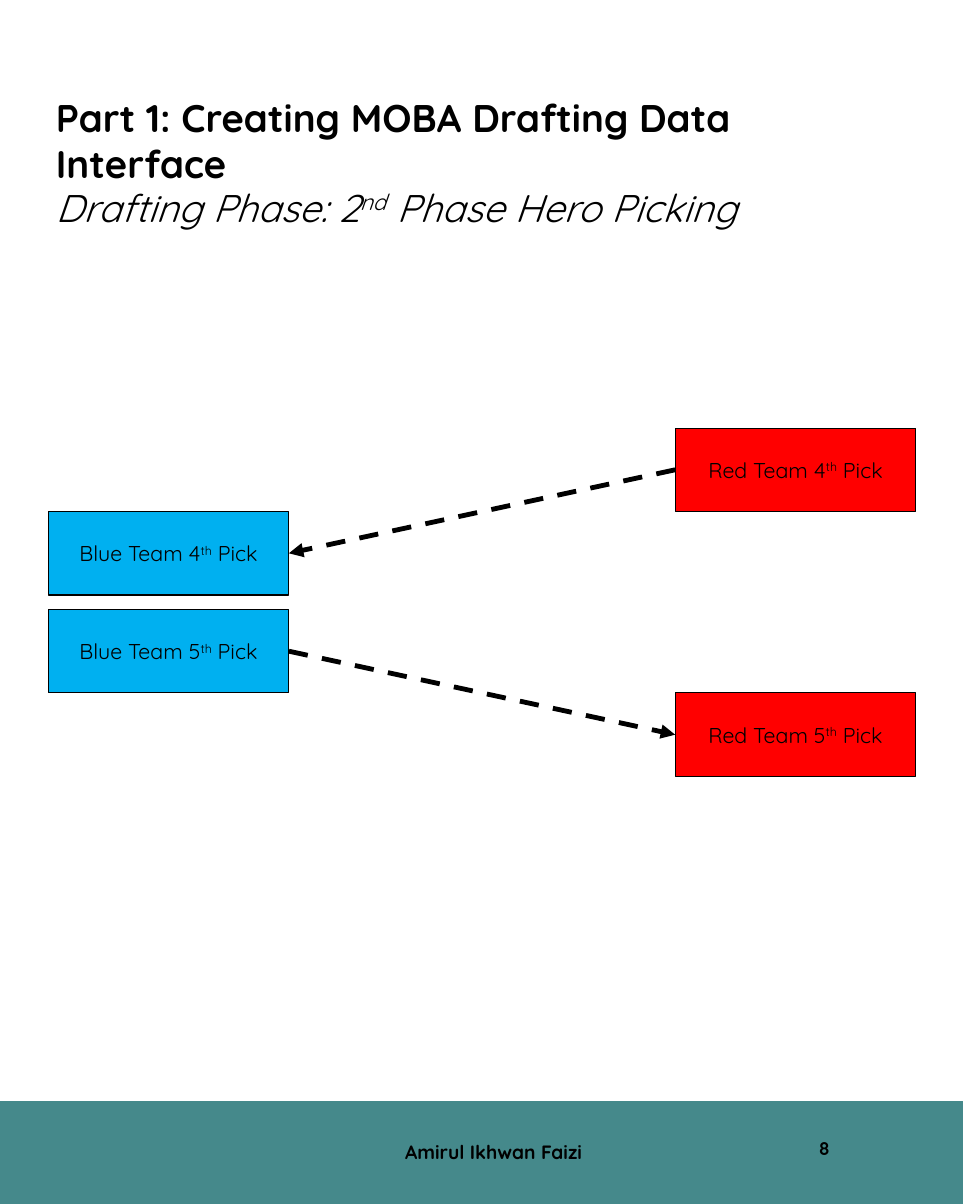
from dataclasses import dataclass

from lxml import etree
from pptx import Presentation
from pptx.dml.color import RGBColor
from pptx.enum import dml, shapes, text
from pptx.oxml import ns
from pptx.util import Pt


@dataclass(frozen=True)
class Theme:
    """Colours, font and type sizes of the deck."""
    ink: str = "000000"
    band: str = "45898B"
    blue: str = "00B0F0"
    red: str = "FF0000"
    font: str = "Quicksand"
    heading: float = 36
    pick: float = 20
    author: float = 18
    number: float = 17.3


THEME = Theme()
WIDTH, HEIGHT = 900, 1125


def write(frame, content, size, bold=False, italic=False,
          align=text.PP_ALIGN.LEFT, anchor=text.MSO_ANCHOR.TOP, insets=(7.2, 3.6)):
    """Fill a text frame; parts between carets are superscript."""
    frame.word_wrap = True
    frame.auto_size = text.MSO_AUTO_SIZE.NONE
    frame.vertical_anchor = anchor
    frame.margin_left = frame.margin_right = Pt(insets[0])
    frame.margin_top = frame.margin_bottom = Pt(insets[1])
    line = frame.paragraphs[0]
    line.alignment = align
    for index, part in enumerate(content.split("^")):
        run = line.add_run()
        run.text = part
        run.font.name = THEME.font
        run.font.size = Pt(size)
        run.font.bold, run.font.italic = bold, italic
        run.font.color.rgb = RGBColor.from_string(THEME.ink)
        if index % 2:
            run._r.get_or_add_rPr().set("baseline", "30000")


def add_label(slide, box, content, size, **style):
    """Add a text box with one line of text."""
    label = slide.shapes.add_textbox(*map(Pt, box))
    write(label.text_frame, content, size, **style)


def add_panel(slide, box, fill, border):
    """Add a flat rectangle with a thin border."""
    panel = slide.shapes.add_shape(shapes.MSO_SHAPE.RECTANGLE, *map(Pt, box))
    panel.shadow.inherit = False
    panel.fill.solid()
    panel.fill.fore_color.rgb = RGBColor.from_string(fill)
    panel.line.color.rgb = RGBColor.from_string(border)
    panel.line.width = Pt(1)
    return panel


def add_pick_arrow(slide, first, first_site, second, second_site):
    """Join two picks with a dashed arrow."""
    arrow = slide.shapes.add_connector(shapes.MSO_CONNECTOR.STRAIGHT, 0, 0, 0, 0)
    arrow.begin_connect(first, first_site)
    arrow.end_connect(second, second_site)
    arrow.line.color.rgb = RGBColor.from_string(THEME.ink)
    arrow.line.width = Pt(4.5)
    arrow.line.dash_style = dml.MSO_LINE.DASH
    etree.SubElement(arrow.line._get_or_add_ln(), ns.qn("a:tailEnd"), type="triangle")
    etree.SubElement(arrow._element.spPr, ns.qn("a:effectLst"))


def add_heading(slide, box, title, subtitle):
    """Place the title and the italic subtitle below it."""
    left, top, width, height = box
    heading = slide.shapes.title
    heading.left, heading.top, heading.width, heading.height = map(
        Pt, (left, top, width, 51))
    write(heading.text_frame, title, THEME.heading, bold=True)
    add_label(slide, (left, top + height - 51, width, 51), subtitle,
              THEME.heading, italic=True)


def add_draft(slide, box):
    """Place blue picks on the left, red picks on the right, and their arrows."""
    left, top, width, height = box
    pick_width, pick_height = 225, 78
    red_left = left + width - pick_width
    last_top = top + height - pick_height
    places = {
        "Blue Team 4^th^ Pick": (left, top + pick_height, THEME.blue),
        "Red Team 4^th^ Pick": (red_left, top, THEME.red),
        "Blue Team 5^th^ Pick": (left, last_top - pick_height, THEME.blue),
        "Red Team 5^th^ Pick": (red_left, last_top, THEME.red),
    }
    picks = []
    for name, (pick_left, pick_top, colour) in places.items():
        pick = add_panel(slide, (pick_left, pick_top, pick_width, pick_height),
                         colour, THEME.ink)
        write(pick.text_frame, name, THEME.pick, align=text.PP_ALIGN.CENTER,
              anchor=text.MSO_ANCHOR.MIDDLE)
        picks.append(pick)
    blue_fourth, red_fourth, blue_fifth, red_fifth = picks
    left_site, right_site = 1, 3
    add_pick_arrow(slide, blue_fifth, right_site, red_fifth, left_site)
    add_pick_arrow(slide, red_fourth, left_site, blue_fourth, right_site)


def add_footer(slide, box, author, number):
    """Place the footer band with the author and the page number."""
    left, top, width, height = box
    add_panel(slide, box, THEME.band, THEME.band)
    add_label(slide, (left + 610.5, top + 13.5, 175, 60), number, THEME.number,
              bold=True, align=text.PP_ALIGN.RIGHT,
              anchor=text.MSO_ANCHOR.MIDDLE, insets=(10, 5))
    add_label(slide, (left + 371.5, top + 33, 187, 29), author, THEME.author,
              bold=True)


def main():
    """Build the drafting slide and save it."""
    deck = Presentation()
    deck.slide_width, deck.slide_height = Pt(WIDTH), Pt(HEIGHT)
    slide = deck.slides.add_slide(deck.slide_layouts[5])
    add_footer(slide, (0, 1029, WIDTH, 96), "Amirul Ikhwan Faizi", "8")
    add_heading(slide, (45, 84, 793, 135),
                "Part 1: Creating MOBA Drafting Data Interface",
                "Drafting Phase: 2^nd^ Phase Hero Picking")
    add_draft(slide, (45, 400, 811, 325.5))
    deck.save("out.pptx")


if __name__ == "__main__":
    main()
